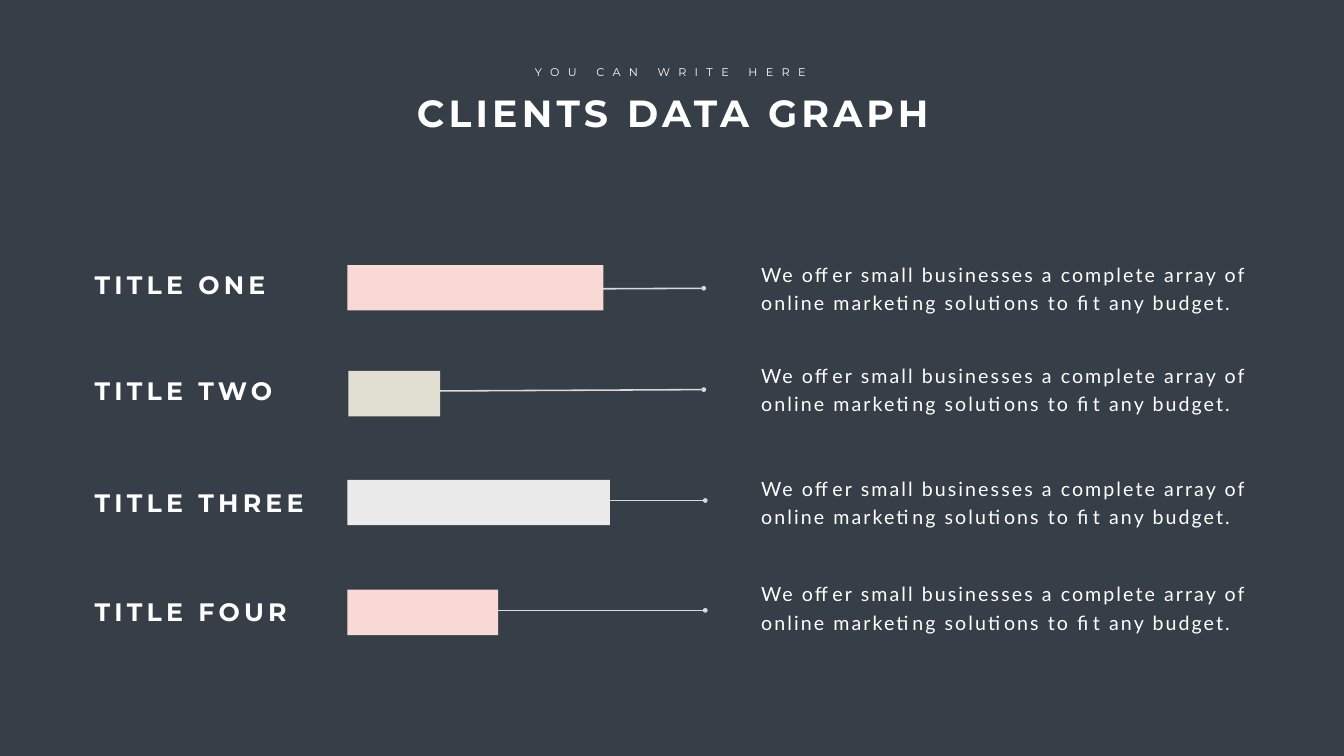
from dataclasses import dataclass

from lxml.etree import SubElement as add_sub
from pptx import Presentation
from pptx.dml.color import RGBColor as Color
from pptx.enum.shapes import MSO_CONNECTOR as Link, MSO_SHAPE as Form
from pptx.enum.text import MSO_AUTO_SIZE as Fit, PP_ALIGN as Align
from pptx.oxml.ns import qn
from pptx.util import Inches, Pt

WHITE, GREY, DARK = "FFFFFF", "D9D9D9", "363E48"
BLURB = "We offer small businesses a complete array of online marketing solutions to fit any budget."

HEAD = {"name": "Montserrat", "size": Pt(54), "bold": True}
SUB = {"name": "Montserrat", "size": Pt(16), "bold": False}
LABEL = {"name": "Montserrat", "size": Pt(36), "bold": True}
BODY = {"name": "Lato", "size": Pt(28), "bold": False}


@dataclass
class Box:
    left: float
    top: float
    width: float
    height: float

    def spans(self) -> list:
        return [Inches(v) for v in (self.left, self.top, self.width, self.height)]


@dataclass
class Row:
    title: str
    label_top: float
    bar: Box
    fill: str
    start: tuple[float, float]
    end: tuple[float, float]
    text_top: float


ROWS = [
    Row("TITLE ONE", 5.3, Box(6.89, 5.26, 5.08, 0.9), "F9D9D3", (11.94, 5.73), (13.96, 5.72), 5.06),
    Row("TITLE TWO", 7.4, Box(6.91, 7.36, 1.82, 0.9), "E1DFD2", (8.24, 7.76), (13.96, 7.73), 7.07),
    Row("TITLE THREE", 9.61, Box(6.89, 9.52, 5.21, 0.9), "EAEAEA", (11.08, 9.93), (13.99, 9.93), 9.31),
    Row("TITLE FOUR", 11.79, Box(6.89, 11.7, 2.99, 0.9), "F9D9D3", (8.44, 12.11), (13.99, 12.11), 11.4),
]


def paint(fill, code: str) -> None:
    fill.solid()
    fill.fore_color.rgb = Color.from_string(code)


def add_text(slide, words: str, box: Box, style: dict, gap: int,
             align: Align = Align.LEFT, wrap: bool = True, lead: float | None = None) -> None:
    frame = slide.shapes.add_textbox(*box.spans()).text_frame
    frame.word_wrap = wrap
    frame.auto_size = Fit.SHAPE_TO_FIT_TEXT
    para = frame.paragraphs[0]
    para.alignment = align
    if lead:
        para.line_spacing = Pt(lead)
    run = para.add_run()
    run.text = words
    for key, value in style.items():
        setattr(run.font, key, value)
    paint(run.font.fill, WHITE)
    run.font._element.set("spc", str(gap * 100))


def add_line(slide, row: Row) -> None:
    ends = [Inches(v) for v in (*row.start, *row.end)]
    line = slide.shapes.add_connector(Link.STRAIGHT, *ends)
    line.line.width = Pt(2.25)
    paint(line.line.fill, GREY)
    add_sub(line.line._get_or_add_ln(), qn("a:tailEnd"), type="oval")
    add_sub(line._element.spPr, qn("a:effectLst"))


def add_bar(slide, row: Row) -> None:
    bar = slide.shapes.add_shape(Form.RECTANGLE, *row.bar.spans())
    bar.shadow.inherit = False
    paint(bar.fill, row.fill)
    bar.line.fill.background()


def main() -> None:
    deck = Presentation()
    deck.slide_width, deck.slide_height = Inches(26.66), Inches(15)
    slide = deck.slides.add_slide(deck.slide_layouts[6])
    paint(slide.background.fill, DARK)
    add_text(slide, "CLIENTS DATA GRAPH", Box(7.15, 1.74, 12.4, 1.01), HEAD, 6, Align.CENTER)
    add_text(slide, "YOU CAN WRITE HERE", Box(10.41, 1.24, 5.78, 0.37), SUB, 12, Align.CENTER, False)
    for row in ROWS:
        add_line(slide, row)
        add_bar(slide, row)
        add_text(slide, row.title, Box(1.78, row.label_top, 4.44, 0.71), LABEL, 6)
        add_text(slide, BLURB, Box(15, row.text_top, 9.91, 1.19), BODY, 3, lead=40.8)
    deck.save("out.pptx")


if __name__ == "__main__":
    main()
